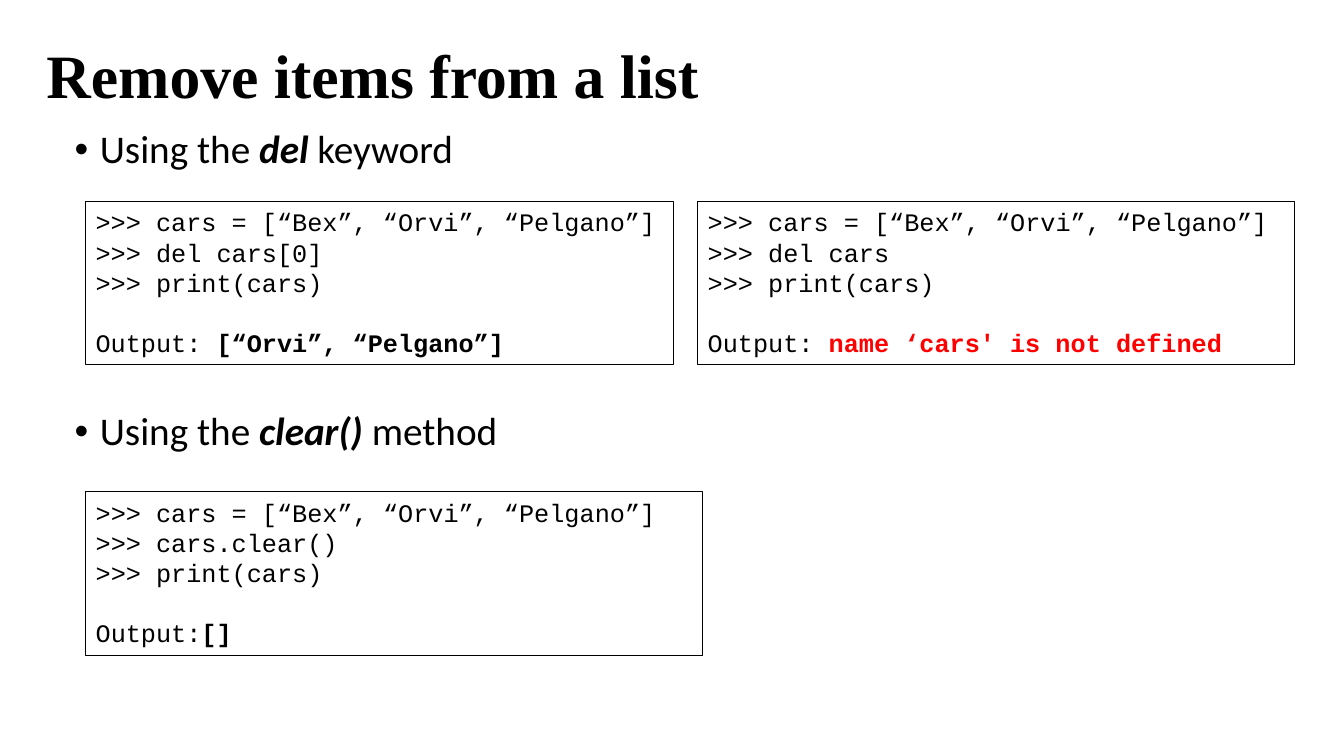
from pptx import Presentation
from pptx.dml.color import RGBColor
from pptx.enum.shapes import MSO_SHAPE
from pptx.enum.text import MSO_ANCHOR, MSO_AUTO_SIZE, PP_ALIGN
from pptx.util import Inches, Pt

BLACK = RGBColor(0, 0, 0)
RED = RGBColor(255, 0, 0)
RECT = MSO_SHAPE.RECTANGLE
MIDDLE, TOP = MSO_ANCHOR.MIDDLE, MSO_ANCHOR.TOP
FIXED = MSO_AUTO_SIZE.NONE
LEFT = PP_ALIGN.LEFT

CARS = ">>> cars = [“Bex”, “Orvi”, “Pelgano”]"
SHOW = ">>> print(cars)"
POINTS = [("Using the ", "del ", "keyword"), ("Using the ", "clear() ", "method")]
CODES = [
    ((0.85, 4.88, 6.12, 1.62), ">>> cars.clear()", "Output:", "[]", BLACK),
    ((0.85, 2, 5.83, 1.62), ">>> del cars[0]", "Output: ", "[“Orvi”, “Pelgano”]", BLACK),
    ((6.92, 2, 5.92, 1.62), ">>> del cars", "Output: ", "name ‘cars' is not defined", RED),
]


def place(shape, box):
    shape.left, shape.top, shape.width, shape.height = map(Inches, box)


def setup(shape, anchor):
    frame = shape.text_frame
    frame.word_wrap = True
    frame.auto_size = FIXED
    frame.vertical_anchor = anchor
    return frame


def line(frame, index, before=0, spacing=1.0):
    para = frame.paragraphs[0] if index == 0 else frame.add_paragraph()
    para.alignment = LEFT
    para.space_before = Pt(before)
    para.line_spacing = spacing
    return para


def write(para, text, font, size, color=BLACK, bold=False, italic=False):
    run = para.add_run()
    run.text = text
    run.font.name = font
    run.font.size = Pt(size)
    run.font.color.rgb = color
    run.font.bold = bold
    run.font.italic = italic


def add_title(slide, box):
    title = slide.shapes.title
    place(title, box)
    para = line(setup(title, MIDDLE), 0, spacing=0.9)
    write(para, "Remove items from a list", "Times New Roman", 44, bold=True)


def add_points(slide, box):
    body = slide.placeholders[1]
    place(body, box)
    frame = setup(body, TOP)
    for index, (start, key, end) in enumerate(POINTS):
        para = line(frame, index, before=171 if index else 10, spacing=0.9)
        props = para._p.get_or_add_pPr()
        props.set("marL", str(Inches(0.25)))
        props.set("indent", str(Inches(-0.25)))
        write(para, start, "Calibri", 28)
        write(para, key, "Calibri", 28, bold=True, italic=True)
        write(para, end, "Calibri", 28)


def add_code(slide, box, step, label, result, color):
    panel = slide.shapes.add_shape(RECT, *map(Inches, box))
    panel.shadow.inherit = False
    panel.fill.background()
    panel.line.color.rgb = BLACK
    panel.line.width = Pt(0.75)
    frame = setup(panel, TOP)
    for index, text in enumerate([CARS, step, SHOW, label]):
        para = line(frame, index, before=21.5 if text == label else 0)
        write(para, text, "Courier New", 18)
    write(para, result, "Courier New", 18, color, bold=True)


def main():
    deck = Presentation()
    deck.slide_width, deck.slide_height = Inches(13.33), Inches(7.5)
    slide = deck.slides.add_slide(deck.slide_layouts[1])
    add_title(slide, (0.36, 0.05, 11.5, 1.45))
    add_points(slide, (0.64, 1.24, 11.5, 4.76))
    for code in CODES:
        add_code(slide, *code)
    deck.save("out.pptx")


if __name__ == "__main__":
    main()
